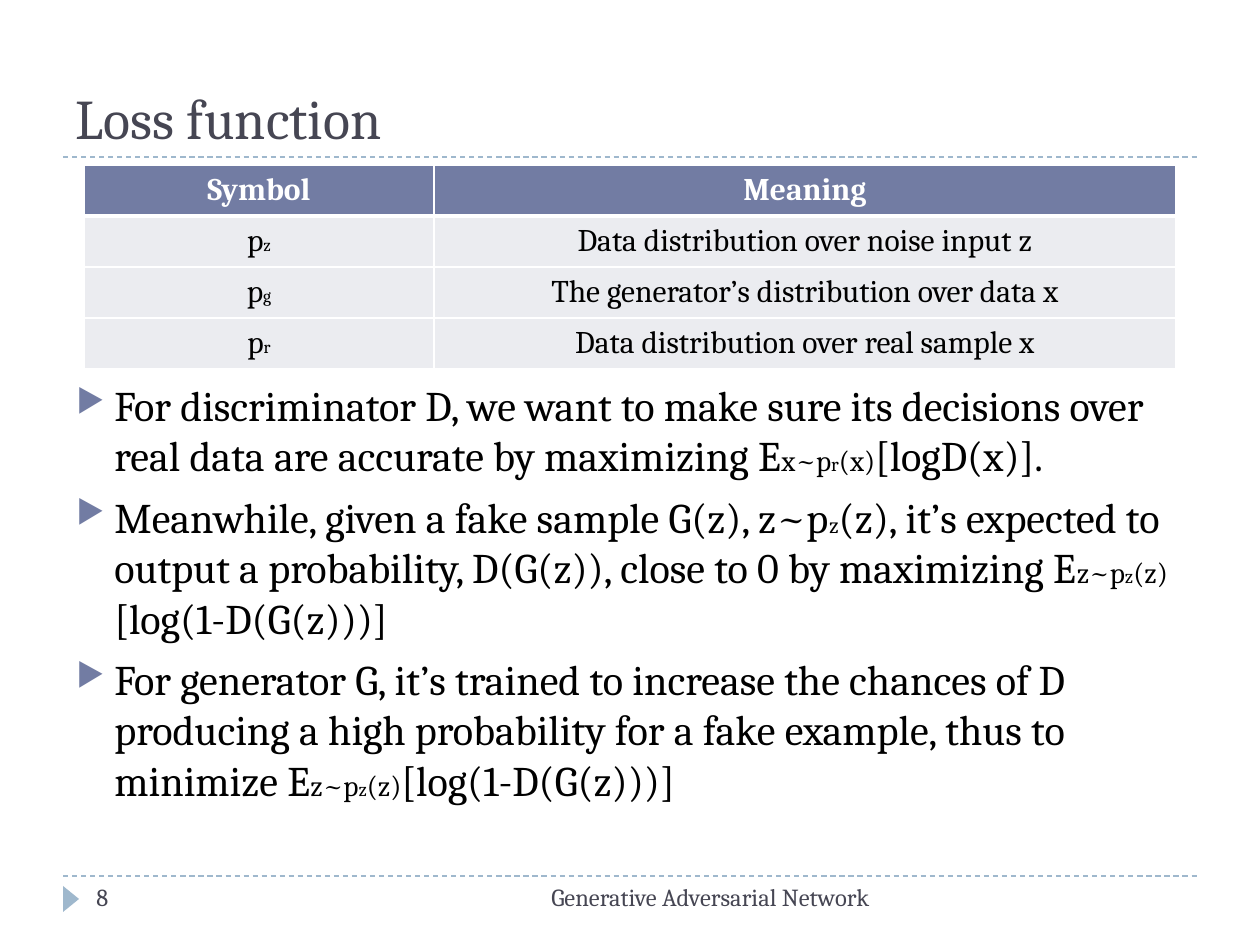
import dataclasses

import lxml.etree
import pptx
import pptx.dml.color
import pptx.enum.dml
import pptx.enum.shapes
import pptx.enum.text
import pptx.oxml.ns
import pptx.util

PX = 914400 / 126
RGB = pptx.dml.color.RGBColor.from_string
ALIGN = pptx.enum.text.PP_ALIGN
ANCHOR = pptx.enum.text.MSO_ANCHOR
qn = pptx.oxml.ns.qn


@dataclasses.dataclass(frozen=True)
class Theme:
    font: str = "Cambria"
    heading: str = "464653"
    text: str = "000000"
    white: str = "FFFFFF"
    accent: str = "727CA3"
    rule: str = "9FB8CD"
    band: str = "EBECF0"
    title_pt: float = 32
    body_pt: float = 24.1
    index_pt: float = 16.6
    subindex_pt: float = 11.1
    inline_index_pt: float = 12.9
    cell_pt: float = 18
    cell_index_pt: float = 10
    footer_pt: float = 14


theme = Theme()


def px(*lengths):
    """Turn px into EMU; a single length gives a single value."""
    emu = [pptx.util.Emu(round(n * PX)) for n in lengths]
    return emu[0] if len(emu) == 1 else emu


def add_run(p, text, size, color, bold=False):
    r = p.add_run()
    r.text = text
    r.font.name = theme.font
    r.font.size = pptx.util.Pt(size)
    r.font.bold = bold
    r.font.color.rgb = RGB(color)


prs = pptx.Presentation()
prs.slide_width, prs.slide_height = px(1260, 945)
s = prs.slides.add_slide(prs.slide_layouts[5])

# Dashed rules under the title and above the footer
for y in (157, 876):
    rule = s.shapes.add_connector(
        pptx.enum.shapes.MSO_CONNECTOR.STRAIGHT, *px(63, y, 1197, y))
    rule.line.color.rgb = RGB(theme.rule)
    rule.line.width = pptx.util.Pt(0.75)
    rule.line.dash_style = pptx.enum.dml.MSO_LINE.DASH
    lxml.etree.SubElement(rule._element.spPr, qn("a:effectLst"))

# Footer marker
marker = s.shapes.add_shape(
    pptx.enum.shapes.MSO_SHAPE.ISOSCELES_TRIANGLE, *px(58, 891, 26, 16))
marker.rotation = 90
marker.shadow.inherit = False
marker.fill.solid()
marker.fill.fore_color.rgb = RGB(theme.rule)
marker.line.fill.background()

# Title
title = s.shapes.title
title.left, title.top, title.width, title.height = px(63, 21, 1134, 136)
tf = title.text_frame
tf.auto_size = pptx.enum.text.MSO_AUTO_SIZE.NONE
tf.vertical_anchor = ANCHOR.BOTTOM
p = tf.paragraphs[0]
p.alignment = ALIGN.LEFT
add_run(p, "Loss function", theme.title_pt, theme.heading)

# Footer text and slide number
for text, left, width, align in (
    ("Generative Adversarial Network", 399, 483, ALIGN.RIGHT),
    ("8", 84, 273, ALIGN.LEFT),
):
    tf = s.shapes.add_textbox(*px(left, 876, width, 50)).text_frame
    tf.word_wrap = True
    p = tf.paragraphs[0]
    p.alignment = align
    add_run(p, text, theme.footer_pt, theme.heading)

# Bulleted explanation
body, index, subindex = theme.body_pt, theme.index_pt, theme.subindex_pt
fake_loss = [("z~p", index), ("z", subindex), ("(z)", index),
             ("[log(1-D(G(z)))]", body)]
bullets = [
    [("For discriminator D, we want to make sure its decisions over real data "
      "are accurate by maximizing E", body),
     ("x~p", index), ("r", subindex), ("(x)", index), ("[logD(x)].", body)],
    [("Meanwhile, given a fake sample G(z), z~p", body),
     ("z", theme.inline_index_pt),
     ("(z), it’s expected to output a probability, D(G(z)), close to 0 by "
      "maximizing E", body), *fake_loss],
    [("For generator G, it’s trained to increase the chances of D producing a "
      "high probability for a fake example, thus to minimize E", body), *fake_loss],
]
tf = s.shapes.add_textbox(*px(64, 373, 1134, 496)).text_frame
tf.word_wrap = True
for i, runs in enumerate(bullets):
    p = tf.add_paragraph() if i else tf.paragraphs[0]
    p.space_before = pptx.util.Pt(6 if i else 0)
    pPr = p._p.get_or_add_pPr()
    pPr.set("marL", str(px(38)))
    pPr.set("indent", str(-px(38)))
    color = lxml.etree.SubElement(pPr, qn("a:buClr"))
    lxml.etree.SubElement(color, qn("a:srgbClr"), val=theme.accent)
    lxml.etree.SubElement(pPr, qn("a:buSzPct"), val="76000")
    lxml.etree.SubElement(pPr, qn("a:buChar"), char="▶")
    for text, size in runs:
        add_run(p, text, size, theme.text)

# Symbol table: each cell is a main text and a small index
rows = [
    (("Symbol", ""), ("Meaning", "")),
    (("p", "z"), ("Data distribution over noise input\u00a0z", "")),
    (("p", "g"), ("The generator’s distribution over data\u00a0x", "")),
    (("p", "r"), ("Data distribution over real sample\u00a0x", "")),
]
table = s.shapes.add_table(4, 2, *px(84, 165, 1092, 204)).table
for column, width in zip(table.columns, (350, 742)):
    column.width = px(width)
for i, row in enumerate(rows):
    header = i == 0
    table.rows[i].height = px(51)
    for j, (text, small) in enumerate(row):
        cell = table.cell(i, j)
        cell.vertical_anchor = ANCHOR.MIDDLE
        tcPr = cell._tc.get_or_add_tcPr()
        for side in "LRTB":
            heavy = (header and side == "B") or (i == 1 and side == "T")
            ln = lxml.etree.SubElement(
                tcPr, qn(f"a:ln{side}"), w=str(pptx.util.Pt(3 if heavy else 1)))
            fill = lxml.etree.SubElement(ln, qn("a:solidFill"))
            lxml.etree.SubElement(fill, qn("a:srgbClr"), val=theme.white)
        cell.fill.solid()
        cell.fill.fore_color.rgb = RGB(theme.accent if header else theme.band)
        p = cell.text_frame.paragraphs[0]
        p.alignment = ALIGN.CENTER
        color = theme.white if header else theme.text
        add_run(p, text, theme.cell_pt, color, bold=header)
        if small:
            add_run(p, small, theme.cell_index_pt, color)

prs.save("out.pptx")
